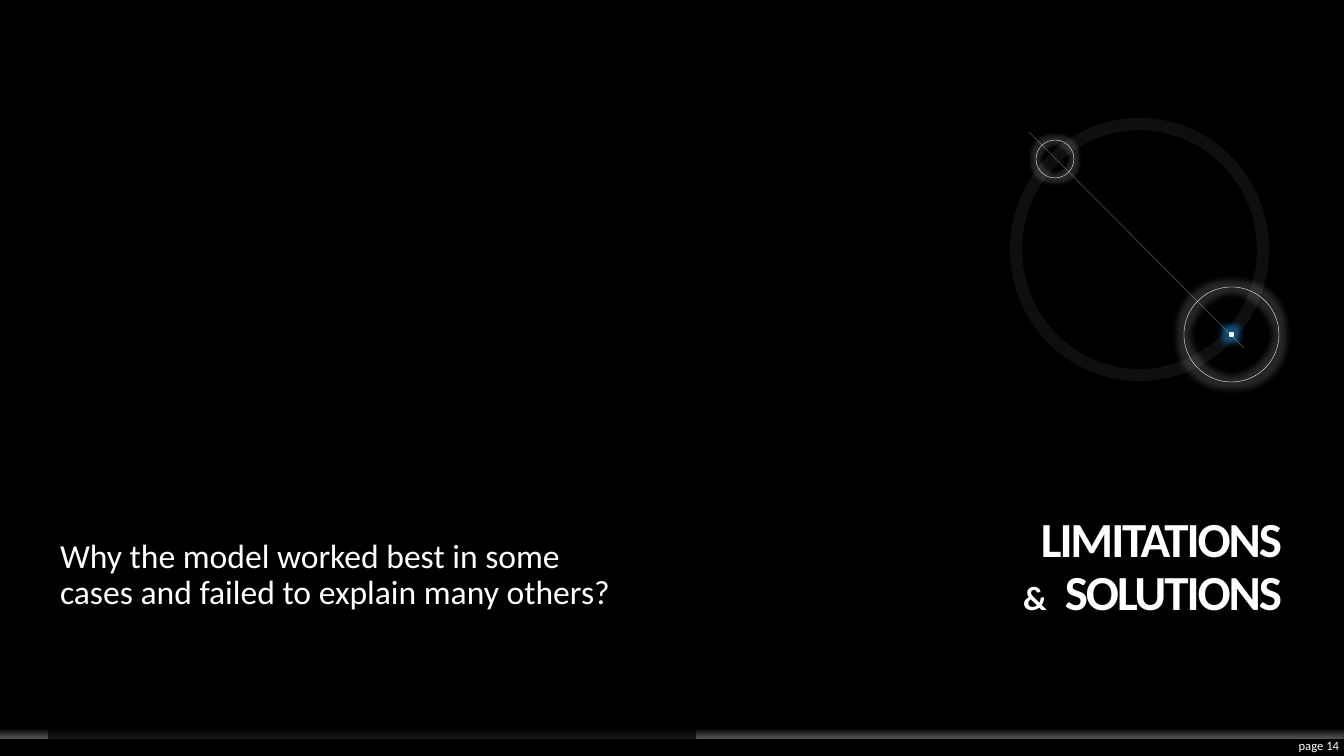
from lxml.etree import SubElement
from pptx import Presentation
from pptx.dml.color import RGBColor
from pptx.enum.shapes import MSO_CONNECTOR, MSO_SHAPE
from pptx.enum.text import MSO_ANCHOR, PP_ALIGN
from pptx.oxml import parse_xml
from pptx.oxml.ns import nsdecls, qn
from pptx.util import Pt

BLACK = RGBColor(0, 0, 0)
WHITE = RGBColor(255, 255, 255)
PALE = RGBColor(0xF2, 0xF2, 0xF2)
GREY = RGBColor(0xE7, 0xE6, 0xE6)
ICE = RGBColor(0xF7, 0xFF, 0xFF)
SKY = RGBColor(0xC1, 0xE4, 0xFF)
BLUE = RGBColor(0x1E, 0x90, 0xE0)

PX = 12192000 / 1344
FONT = "Calibri"

BAND = (0, 722, 1344, 17)
PANEL = (48, 429, 648, 316)
RULES = [696, 48]
RULE_TOP, RULE_END = 23, 739
RINGS = [
    ((1184, 287, 95, 95), 0.25, 100, 12),
    ((1036, 140, 38, 38), 0.25, 100, 8),
    ((1016, 124, 247, 251), 8.75, 6, 0),
]
DOT = (1229, 332, 5, 5)
AXIS = (1029, 132, 1244, 348)

TITLE = [[("LIMITATIONS", 35)], [("&", 24), ("  SOLUTIONS", 35)]]
TITLE_BOX = (722, 511, 560, 110)
QUESTION = "Why the model worked best in some cases and failed to explain many others?"
QUESTION_BOX = (60, 539, 560, 73)
PAGE = "page 14"
PAGE_BOX = (1279, 737, 60, 17)


def emu(box):
    return [round(n * PX) for n in box]


def fade(node, pct):
    if pct < 100:
        color = next(node.iter(qn("a:srgbClr")))
        SubElement(color, qn("a:alpha"), val=str(pct * 1000))


def grade(shape, stops, way):
    marks = "".join(
        f'<a:gs pos="{pos * 1000}"><a:srgbClr val="{color}">'
        f'<a:alpha val="{pct * 1000}"/></a:srgbClr></a:gs>'
        for pos, color, pct in stops)
    fill = parse_xml(f'<a:gradFill {nsdecls("a")} rotWithShape="1">'
                     f'<a:gsLst>{marks}</a:gsLst>{way}</a:gradFill>')
    shape.fill.background()
    old = shape._element.spPr.find(qn("a:noFill"))
    old.getparent().replace(old, fill)


def glow(shape, size, color, pct):
    effects = shape._element.spPr.find(qn("a:effectLst"))
    halo = SubElement(effects, qn("a:glow"), rad=str(round(size * PX)))
    SubElement(halo, qn("a:srgbClr"), val=str(color))
    fade(halo, pct)


def draw(kind, box):
    shape = slide.shapes.add_shape(kind, *emu(box))
    shape.shadow.inherit = False
    shape.fill.background()
    shape.line.fill.background()
    return shape


def stroke(shape, color, width, pct):
    shape.line.color.rgb = color
    shape.line.width = Pt(width)
    fade(shape._element.spPr.find(qn("a:ln")), pct)


def link(ends, color, width, pct):
    line = slide.shapes.add_connector(MSO_CONNECTOR.STRAIGHT, *emu(ends))
    stroke(line, color, width, pct)
    SubElement(line._element.spPr, qn("a:effectLst"))


def style(run, size):
    run.font.name = FONT
    run.font.size = Pt(size)
    run.font.color.rgb = WHITE


def write(box, anchor, align, text=""):
    frame = slide.shapes.add_textbox(*emu(box)).text_frame
    frame.word_wrap = True
    frame.margin_left = frame.margin_right = 0
    frame.margin_top = frame.margin_bottom = 0
    frame.vertical_anchor = anchor
    frame.text = text
    para = frame.paragraphs[0]
    para.alignment = align
    return para


deck = Presentation()
deck.slide_width, deck.slide_height = emu((1344, 756))
slide = deck.slides.add_slide(deck.slide_layouts[6])
slide.background.fill.solid()
slide.background.fill.fore_color.rgb = BLACK

band = draw(MSO_SHAPE.RECTANGLE, BAND)
grade(band, [(40, WHITE, 0), (100, WHITE, 35)], '<a:lin ang="5400000" scaled="0"/>')
panel = draw(MSO_SHAPE.RECTANGLE, PANEL)
panel.fill.solid()
panel.fill.fore_color.rgb = BLACK
fade(panel._element.spPr, 70)
for x in RULES:
    link((x, RULE_TOP, x, RULE_END), PALE, 0.25, 15)

for box, width, pct, halo in RINGS:
    ring = draw(MSO_SHAPE.OVAL, box)
    stroke(ring, WHITE, width, pct)
    if halo:
        glow(ring, halo, WHITE, 15)
dot = draw(MSO_SHAPE.OVAL, DOT)
grade(dot, [(0, WHITE, 100), (65, ICE, 100), (70, SKY, 100)],
      '<a:path path="circle"><a:fillToRect l="50000" t="50000" r="50000" b="50000"/></a:path>')
glow(dot, 12, BLUE, 50)
link(AXIS, GREY, 0.5, 30)

title = write(TITLE_BOX, MSO_ANCHOR.BOTTOM, PP_ALIGN.RIGHT)
title.line_spacing = 0.9
for row, parts in enumerate(TITLE):
    if row:
        title.add_line_break()
    for text, size in parts:
        run = title.add_run()
        run.text = text
        style(run, size)
        run.font.bold = True
        run.font._element.set("spc", "-150")

question = write(QUESTION_BOX, MSO_ANCHOR.TOP, PP_ALIGN.LEFT, QUESTION)
question.line_spacing = 0.9
question.space_before = Pt(10)
style(question.runs[0], 24)

page = write(PAGE_BOX, MSO_ANCHOR.MIDDLE, PP_ALIGN.RIGHT, PAGE)
style(page.runs[0], 9)

deck.save("out.pptx")
